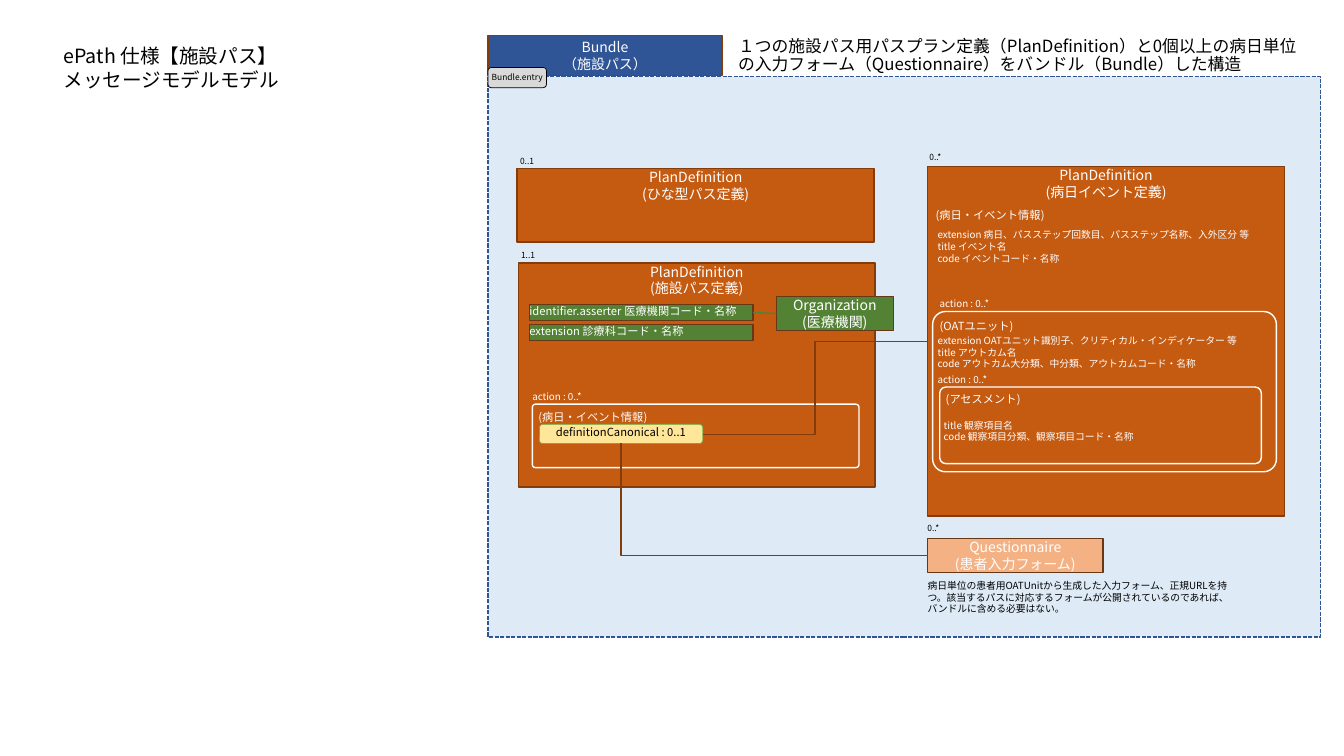
from lxml import etree
from pptx import Presentation
from pptx.dml.color import RGBColor
from pptx.enum.dml import MSO_LINE
from pptx.enum.shapes import MSO_CONNECTOR, MSO_SHAPE
from pptx.enum.text import MSO_ANCHOR, PP_ALIGN
from pptx.oxml.ns import qn
from pptx.util import Inches, Pt

RECT, ROUND = MSO_SHAPE.RECTANGLE, MSO_SHAPE.ROUNDED_RECTANGLE
STRAIGHT, ELBOW = MSO_CONNECTOR.STRAIGHT, MSO_CONNECTOR.ELBOW
LEFT, CENTER = PP_ALIGN.LEFT, PP_ALIGN.CENTER
TOP, MIDDLE = MSO_ANCHOR.TOP, MSO_ANCHOR.MIDDLE
FONT = "Noto Sans CJK JP"
COLORS = {
    "black": "000000", "white": "FFFFFF", "pale": "DEEBF7", "blue": "2F5597",
    "gray": "D9D9D9", "orange": "C55A11", "brown": "843C0B", "peach": "F4B183",
    "umber": "683715", "green": "548235", "yellow": "FFE699", "lime": "70AD47",
}


def rgb(name):
    return RGBColor.from_string(COLORS[name])


def write(s, text, size, color, align=LEFT, anchor=TOP, inset=(0, 0), spacing=None):
    tf = s.text_frame
    tf.text = text
    x, y = (Inches(v) for v in inset)
    frame = {"word_wrap": True, "vertical_anchor": anchor, "margin_left": x,
             "margin_right": x, "margin_top": y, "margin_bottom": y}
    for key, value in frame.items():
        setattr(tf, key, value)
    for p in tf.paragraphs:
        p.alignment = align
        p.space_before = Pt(0)
        p.line_spacing = spacing
        for r in p.runs:
            r.font.name, r.font.size = FONT, Pt(size)
            r.font.color.rgb = rgb(color)
            ea = etree.SubElement(r.font._element, qn("a:ea"))
            ea.set("typeface", FONT)


prs = Presentation()
prs.slide_width, prs.slide_height = Inches(13.33), Inches(7.5)
slide = prs.slides.add_slide(prs.slide_layouts[1])
title, body = slide.placeholders

headings = [
    (title, (0.53, 0.39, 3.71, 0.57), "ePath 仕様【施設パス】\nメッセージモデルモデル", 14, None),
    (body, (7.22, 0.33, 5.88, 0.43),
     "１つの施設パス用パスプラン定義（PlanDefinition）と0個以上の病日単位の入力フォーム"
     "（Questionnaire）をバンドル（Bundle）した構造", 12, 0.9),
]
for s, at, text, size, spacing in headings:
    s.left, s.top, s.width, s.height = (Inches(v) for v in at)
    write(s, text, size, "black", inset=(0.1, 0.05), spacing=spacing)
pPr = body.text_frame.paragraphs[0]._p.get_or_add_pPr()
pPr.set("marL", "0")
pPr.set("indent", "0")
etree.SubElement(pPr, qn("a:buNone"))

boxes = [
    (RECT, (4.84, 0.76, 8.26, 5.56), "pale", "blue", 1, None),
    (RECT, (4.84, 0.35, 2.32, 0.4), "blue", "brown", 1,
     ("Bundle\v（施設パス）", 10, "white", CENTER, MIDDLE)),
    (ROUND, (4.84, 0.67, 0.58, 0.2), "gray", "black", 0.5,
     ("Bundle.entry", 6, "black", CENTER, MIDDLE)),
    (RECT, (5.13, 1.67, 3.54, 0.73), "orange", "brown", 1,
     ("PlanDefinition\v(ひな型パス定義)", 10, "white", CENTER)),
    (RECT, (5.14, 2.61, 3.54, 2.22), "orange", "brown", 1,
     ("PlanDefinition\v(施設パス定義)", 10, "white", CENTER)),
    (RECT, (9.2, 1.65, 3.54, 3.47), "orange", "brown", 1,
     ("PlanDefinition\v(病日イベント定義)", 10, "white", CENTER)),
    (RECT, (9.2, 5.34, 1.74, 0.34), "peach", "umber", 1,
     ("Questionnaire\v(患者入力フォーム)", 10, "white", CENTER)),
    (ROUND, (5.28, 4.01, 3.24, 0.63), None, "white", 1, None),
    (ROUND, (9.25, 3.09, 3.41, 1.59), None, "white", 1, None),
    (ROUND, (9.32, 3.84, 3.19, 0.76), None, "white", 1, None),
    (ROUND, (5.35, 4.21, 1.62, 0.19), "yellow", "lime", 0.5,
     ("definitionCanonical : 0..1", 8, "black", CENTER)),
    (RECT, (5.25, 3.02, 2.22, 0.16), "green", "umber", 1,
     ("identifier.asserter 医療機関コード・名称", 8, "white")),
    (RECT, (5.25, 3.22, 2.22, 0.16), "green", "umber", 1,
     ("extension 診療科コード・名称", 8, "white")),
    (RECT, (7.7, 2.94, 1.16, 0.34), "green", "umber", 1,
     ("Organization\v(医療機関)", 10, "white", CENTER)),
]
for kind, at, fill, line, width, label in boxes:
    s = slide.shapes.add_shape(kind, *(Inches(v) for v in at))
    s.shadow.inherit = False
    if fill:
        s.fill.solid()
        s.fill.fore_color.rgb = rgb(fill)
    else:
        s.fill.background()
        s.adjustments[0] = 0.05 if at[0] < 9 else 0.08
    if fill == "pale":
        s.line.dash_style = MSO_LINE.SQUARE_DOT
    s.line.color.rgb = rgb(line)
    s.line.width = Pt(width)
    if label:
        write(s, *label)

connectors = [
    (ELBOW, (9.2, 5.51, 6.16, 4.4), "brown", "bentConnector2"),
    (ELBOW, (9.2, 3.39, 6.97, 4.31), "brown", "bentConnector3"),
    (STRAIGHT, (7.47, 3.1, 7.7, 3.11), "green", "line"),
]
for kind, ends, color, preset in connectors:
    c = slide.shapes.add_connector(kind, *(Inches(v) for v in ends))
    c.line.color.rgb = rgb(color)
    c.line.width = Pt(1)
    spPr = c._element.spPr
    spPr.find(qn("a:prstGeom")).set("prst", preset)
    etree.SubElement(spPr, qn("a:effectLst"))

multiplicities = [
    (5.06, 1.5, "0..1"), (5.07, 2.43, "1..1"), (9.12, 1.46, "0..*"), (9.1, 5.14, "0..*"),
]
for x, y, text in multiplicities:
    s = slide.shapes.add_textbox(Inches(x), Inches(y), Inches(0.4), Inches(0.2))
    write(s, text, 6, "black", inset=(0.1, 0.05))

notes = [
    ((5.28, 3.88, 0.54, 0.12), "action : 0..*", 7, "white"),
    ((9.32, 2.95, 0.54, 0.12), "action : 0..*", 7, "white"),
    ((9.3, 3.71, 0.54, 0.12), "action : 0..*", 7, "white"),
    ((5.34, 4.07, 1.34, 0.13), "(病日・イベント情報)", 8, "white"),
    ((9.28, 2.07, 1.34, 0.13), "(病日・イベント情報)", 8, "white"),
    ((9.32, 3.17, 1.34, 0.13), "(OATユニット)", 8, "white"),
    ((9.38, 3.89, 1.34, 0.13), "(アセスメント)", 8, "white"),
    ((9.3, 2.27, 3.36, 0.35),
     "extension 病日、パスステップ回数目、パスステップ名称、入外区分 等\n"
     "title イベント名\ncode イベントコード・名称", 7, "white"),
    ((9.3, 3.32, 3.28, 0.35),
     "extension OATユニット識別子、クリティカル・インディケーター 等\n"
     "title アウトカム名\ncode アウトカム大分類、中分類、アウトカムコード・名称", 7, "white"),
    ((9.36, 4.16, 3.28, 0.23),
     "title 観察項目名\ncode 観察項目分類、観察項目コード・名称", 7, "white"),
    ((9.2, 5.75, 2.99, 0.35),
     "病日単位の患者用OATUnitから生成した入力フォーム、正規URLを持つ。"
     "該当するパスに対応するフォームが公開されているのであれば、"
     "バンドルに含める必要はない。", 7, "black"),
]
for at, text, size, color in notes:
    s = slide.shapes.add_textbox(*(Inches(v) for v in at))
    write(s, text, size, color)

prs.save("out.pptx")
